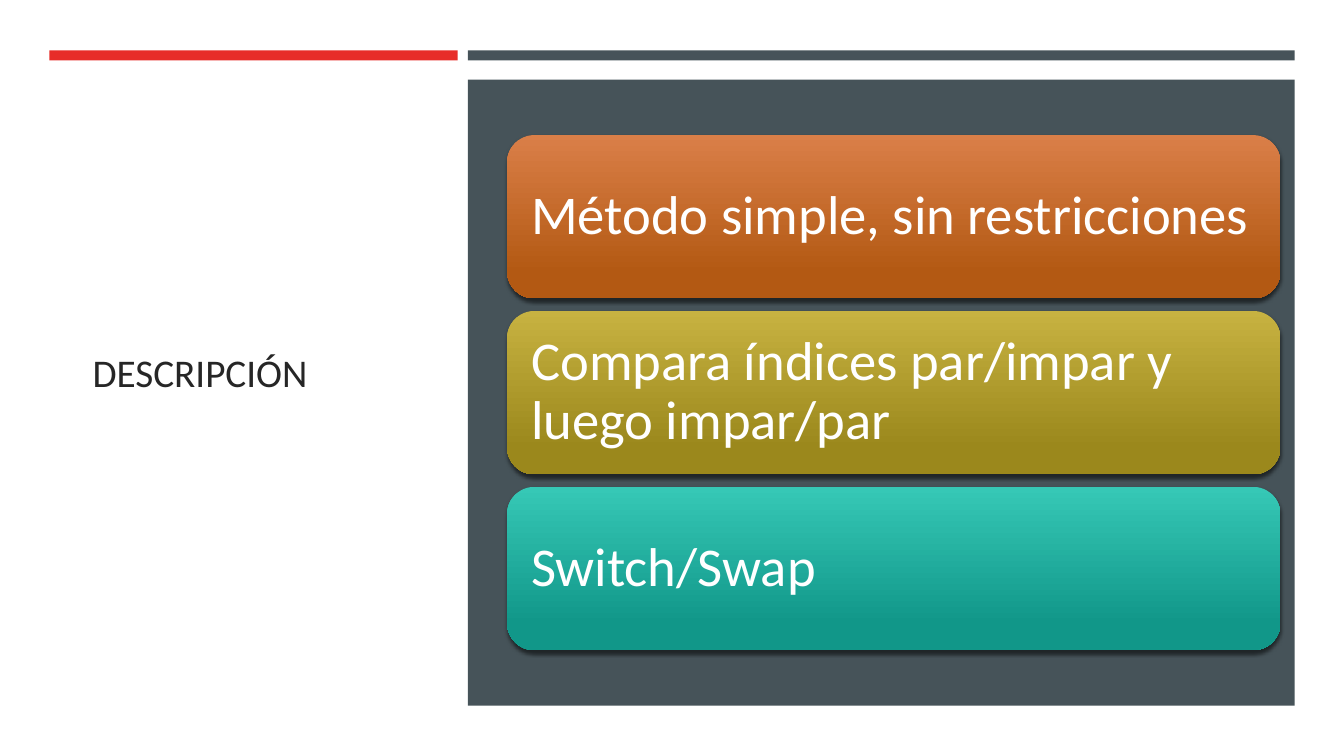
import pptx
import pptx.util
import pptx.dml.color
import pptx.enum.shapes
import pptx.enum.text
import lxml.etree

deck = pptx.Presentation()
deck.slide_width = pptx.util.Inches(13.33)
deck.slide_height = pptx.util.Inches(7.5)
slide = deck.slides.add_slide(deck.slide_layouts[6])
kinds = pptx.enum.shapes.MSO_SHAPE
A = "http://schemas.openxmlformats.org/drawingml/2006/main"


def color(code):
    return pptx.dml.color.RGBColor.from_string(code)


def write(shape, text, inset, size, code):
    frame = shape.text_frame
    pad = pptx.util.Inches(inset)
    look = {"word_wrap": True, "vertical_anchor": pptx.enum.text.MSO_ANCHOR.MIDDLE,
            "margin_left": pad, "margin_right": pad,
            "margin_top": pad, "margin_bottom": pad}
    for key, value in look.items():
        setattr(frame, key, value)
    line = frame.paragraphs[0]
    line.text = text
    line.alignment = pptx.enum.text.PP_ALIGN.LEFT
    line.line_spacing = 0.9
    font = line.runs[0].font
    for key, value in {"name": "Calibri", "size": pptx.util.Pt(size)}.items():
        setattr(font, key, value)
    font.color.rgb = color(code)


# Column edges and the top bars
left, split, wide = 0.49, 4.64, 8.2
bar_top, bar_tall = 0.5, 0.1

# White base, accent bars and dark panel
blocks = [
    (0, 0, 13.33, 7.5, "FFFFFF"),
    (left, bar_top, 4.05, bar_tall, "E72D29"),
    (split, bar_top, wide, bar_tall, "465359"),
    (split, 0.79, wide, 6.21, "465359"),
]
for *box, code in blocks:
    block = slide.shapes.add_shape(kinds.RECTANGLE, *map(pptx.util.Inches, box))
    block.shadow.inherit = False
    block.fill.solid()
    block.fill.fore_color.rgb = color(code)
    block.line.fill.background()

# Title
title = slide.shapes.add_textbox(*map(pptx.util.Inches, (0.82, 1.14, 3.34, 5.15)))
write(title, "DESCRIPCIÓN", 0.1, 28, "262626")

# Cards: one row each, evenly spaced
first, pitch = 1.34, 1.745
cards = [
    ("Método simple, sin restricciones", "DA7F48", "B35913"),
    ("Compara índices par/impar y luego impar/par", "C7B241", "9B881C"),
    ("Switch/Swap", "36C8B6", "119789"),
]
for row, (text, light, dark) in enumerate(cards):
    box = (5.03, first + row * pitch, 7.67, 1.62)
    card = slide.shapes.add_shape(kinds.ROUNDED_RECTANGLE, *map(pptx.util.Inches, box))
    card.line.fill.background()
    card.fill.gradient()
    card.fill.gradient_angle = 270
    for stop, place, code in zip(card.fill.gradient_stops, (0, 0.84), (light, dark)):
        stop.position = place
        stop.color.rgb = color(code)
    write(card, text, 0.16, 39, "FFFFFF")

    # Soft shadow straight below
    card.shadow.inherit = False
    effects = card.element.spPr.find(f"{{{A}}}effectLst")
    shade = lxml.etree.SubElement(
        effects, f"{{{A}}}outerShdw", blurRad=str(pptx.util.Pt(3)),
        dist=str(pptx.util.Pt(2)), dir="5400000", algn="ctr", rotWithShape="0")
    tone = lxml.etree.SubElement(shade, f"{{{A}}}srgbClr", val="000000")
    lxml.etree.SubElement(tone, f"{{{A}}}alpha", val="55000")

deck.save("out.pptx")
